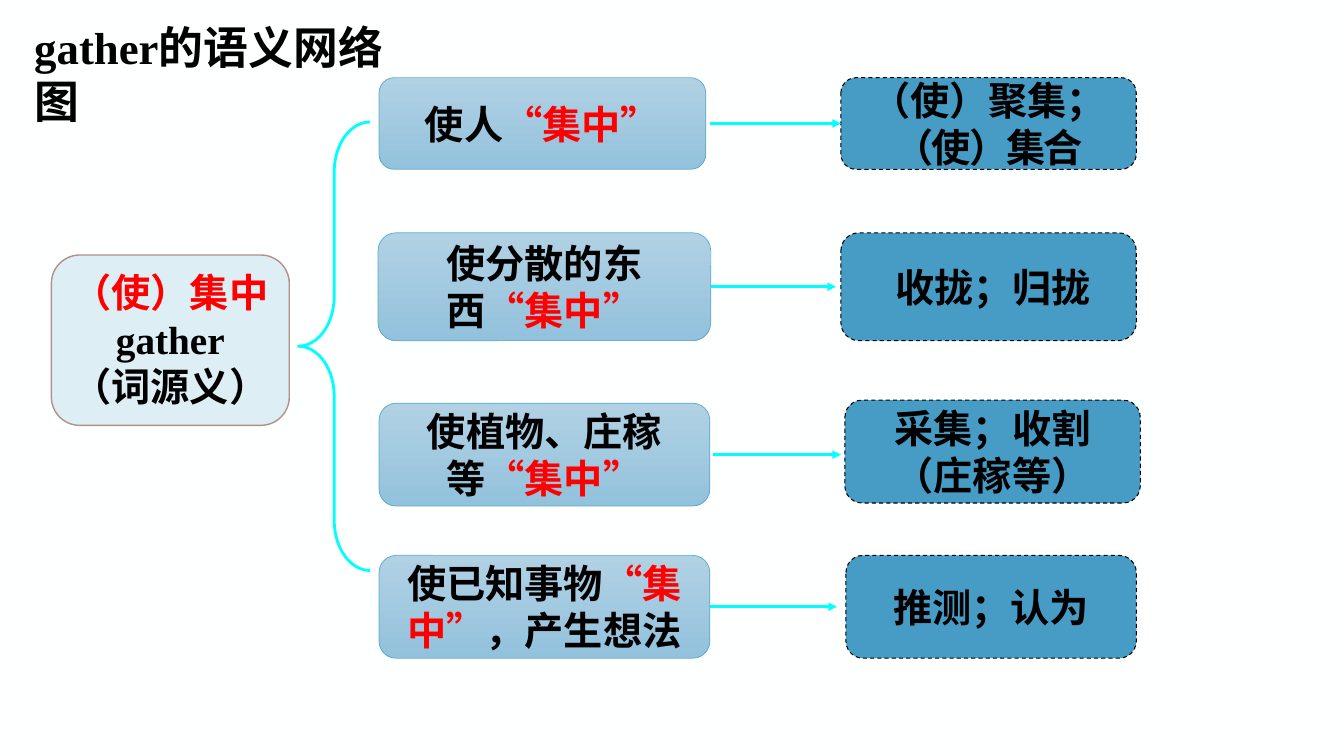
import pptx
import pptx.util
import pptx.dml.color
import pptx.enum.dml
import pptx.enum.lang
import pptx.enum.shapes
import pptx.enum.text
import pptx.oxml
import pptx.oxml.ns

Inches = pptx.util.Inches
Pt = pptx.util.Pt
Kind = pptx.enum.shapes.MSO_SHAPE
Align = pptx.enum.text.PP_ALIGN
Anchor = pptx.enum.text.MSO_ANCHOR
BLACK, RED, CYAN = "000000", "FF0000", "00FFFF"


def paint(target, tint):
    target.solid()
    target.fore_color.rgb = pptx.dml.color.RGBColor.from_string(tint)


def write(frame, lines, size=28, font="Calibri", align=Align.CENTER, anchor=Anchor.MIDDLE):
    frame.word_wrap = True
    frame.vertical_anchor = anchor
    for i, line in enumerate(lines):
        para = frame.add_paragraph() if i else frame.paragraphs[0]
        para.alignment = align
        for text, tint, *gap in line:
            run = para.add_run()
            run.text = text
            run.font.size = Pt(size)
            run.font.bold = True
            run.font.name = font
            run.font.language_id = pptx.enum.lang.MSO_LANGUAGE_ID.SIMPLIFIED_CHINESE
            paint(run.font.fill, tint)
            props = run.font._element
            if gap:
                props.set("spc", str(gap[0]))
            east = pptx.oxml.parse_xml(
                f'<a:ea {pptx.oxml.ns.nsdecls("a")} typeface="Noto Sans CJK SC"/>')
            props.find(pptx.oxml.ns.qn("a:latin")).addnext(east)


deck = pptx.Presentation()
deck.slide_width = Inches(13.33)
deck.slide_height = Inches(7.5)
slide = deck.slides.add_slide(deck.slide_layouts[6])
paint(slide.background.fill, "FEFFFF")
shapes = slide.shapes

brace = shapes.add_shape(Kind.LEFT_BRACE, Inches(2.96), Inches(1.21), Inches(0.71), Inches(4.45))
brace.shadow.inherit = False
brace.adjustments[0] = 0.7
brace.fill.background()
paint(brace.line.fill, CYAN)
brace.line.width = Pt(2)

root = shapes.add_shape(
    Kind.ROUNDED_RECTANGLE, Inches(0.51), Inches(2.53), Inches(2.36), Inches(1.69))
root.shadow.inherit = False
paint(root.fill, "DEEEF5")
paint(root.line.fill, "AF9187")
root.line.width = Pt(1)
write(root.text_frame,
      [[("（使）集中", RED)], [("gather", BLACK)], [("（词源义）", BLACK)]],
      font="Times New Roman", anchor=Anchor.TOP)

title = shapes.add_textbox(Inches(0.26), Inches(0.16), Inches(4.06), Inches(0.61))
frame = title.text_frame
frame.margin_left = frame.margin_right = Inches(0.08)
frame.margin_top = frame.margin_bottom = Inches(0.04)
write(frame, [[("gather的语义网络图", BLACK)]],
      size=32, font="Times New Roman", align=Align.LEFT, anchor=Anchor.TOP)

quote = ("“集中”", RED)
rows = [
    ((3.76, 0.77, 3.24, 0.91), [("使人", BLACK), quote],
     (8.34, 0.77, 2.93, 0.91), [("（使）聚集；", BLACK), ("（使）集合", BLACK, -150)],
     (7.04, 8.34), "end"),
    ((3.75, 2.31, 3.3, 1.07), [("使分散的东西", BLACK), quote],
     (8.34, 2.31, 2.93, 1.07), [(" 收拢；归拢", BLACK)],
     (7.05, 8.29), "start"),
    ((3.76, 4, 3.28, 1.02), [("使植物、庄稼等", BLACK), quote],
     (8.38, 3.97, 2.93, 1.02), [("采集；收割（庄稼等）", BLACK)],
     (7.07, 8.34), None),
    ((3.76, 5.51, 3.28, 1.02), [("使已知事物", BLACK), quote, ("，产生想法", BLACK)],
     (8.39, 5.51, 2.88, 1.02), [("推测；认为", BLACK)],
     (7.04, 8.3), "start"),
]
for cause, cue, sense, gloss, (start, end), join in rows:
    pair = []
    for place, text in ((cause, cue), (sense, gloss)):
        box = shapes.add_shape(Kind.ROUNDED_RECTANGLE, *map(Inches, place))
        box.shadow.inherit = False
        write(box.text_frame, [text])
        pair.append(box)
    left, right = pair

    left.fill.gradient()
    left.fill.gradient_angle = 270
    for stop, tint in zip(left.fill.gradient_stops, ("B1D1E4", "93C2DC")):
        stop.color.rgb = pptx.dml.color.RGBColor.from_string(tint)
    paint(left.line.fill, "5CA8CB")
    left.line.width = Pt(0.5)

    paint(right.fill, "469CC4")
    paint(right.line.fill, BLACK)
    right.line.width = Pt(0.75)
    right.line.dash_style = pptx.enum.dml.MSO_LINE.DASH

    mid = Inches(cause[1] + cause[3] / 2)
    arrow = shapes.add_connector(
        pptx.enum.shapes.MSO_CONNECTOR.STRAIGHT, Inches(start), mid, Inches(end), mid)
    if join == "start":
        arrow.begin_connect(left, 3)
    elif join == "end":
        arrow.end_connect(right, 1)
    paint(arrow.line.fill, CYAN)
    arrow.line.width = Pt(2)
    space = pptx.oxml.ns.nsdecls("a")
    arrow.line._get_or_add_ln().append(
        pptx.oxml.parse_xml(f'<a:tailEnd {space} type="triangle"/>'))
    arrow._element.spPr.append(pptx.oxml.parse_xml(f"<a:effectLst {space}/>"))

deck.save("out.pptx")
